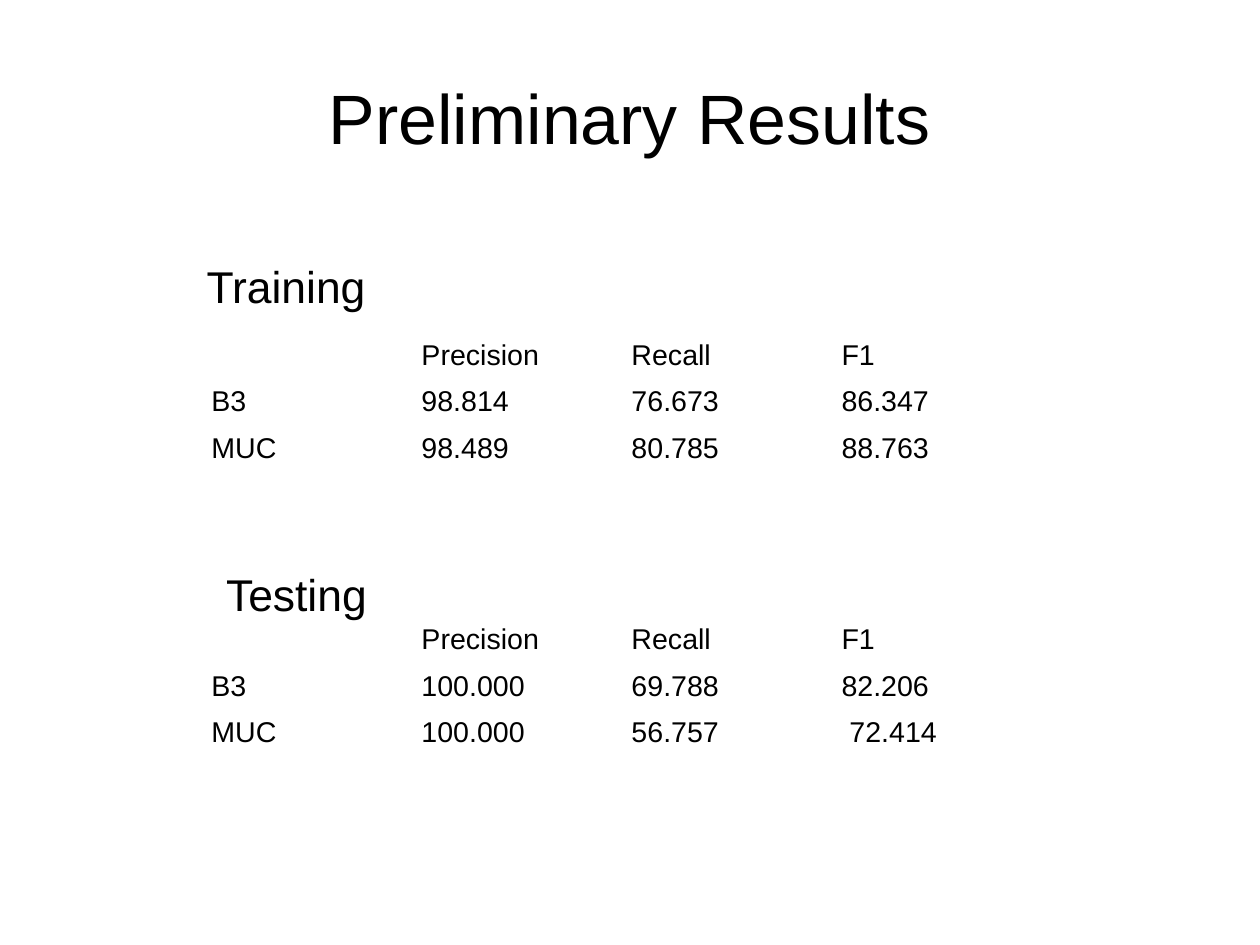
from dataclasses import dataclass

import pptx
import pptx.dml.color
import pptx.enum.text
import pptx.slide
import pptx.text.text
import pptx.util

Inches = pptx.util.Inches


@dataclass(frozen=True)
class Theme:
    font: str = "Arial"
    ink: str = "000000"
    paper: str = "FFFFFF"
    title_size: int = 44
    heading_size: int = 28
    cell_size: int = 18


@dataclass(frozen=True)
class Label:
    text: str
    left: float
    top: float
    width: float
    height: float


@dataclass(frozen=True)
class ResultBlock:
    heading: Label
    table_top: float
    frame_height: float
    scores: tuple[tuple[str, ...], ...]


THEME = Theme()
# The page measures 28 by 21 centimetres
CM_PER_INCH = 2.54
PAGE_WIDTH, PAGE_HEIGHT = 28 / CM_PER_INCH, 21 / CM_PER_INCH
TABLE_LEFT, TABLE_WIDTH, TABLE_HEIGHT = 1.75, 7.35, 1.22
COLUMN_NAMES = ("", "Precision", "Recall", "F1")
TITLE = Label("Preliminary Results", 0.55, 0.33, 9.92, 1.38)
RESULTS = (
    ResultBlock(
        Label("Training", 1.71, 2.22, 1.61, 0.57), 2.92, 1.51,
        (("B3", "98.814", "76.673", "86.347"),
         ("MUC", "98.489", "80.785", "88.763")),
    ),
    ResultBlock(
        Label("Testing", 1.88, 4.91, 1.45, 0.57), 5.41, 1.22,
        (("B3", "100.000", "69.788", "82.206"),
         ("MUC", "100.000", "56.757", " 72.414")),
    ),
)


def write(frame: pptx.text.text.TextFrame, text: str, size: int) -> None:
    """Set the text of a frame and format its runs."""
    frame.text = text
    for para in frame.paragraphs:
        for span in para.runs:
            span.font.name = THEME.font
            span.font.size = pptx.util.Pt(size)
            span.font.color.rgb = pptx.dml.color.RGBColor.from_string(THEME.ink)


def add_label(page: pptx.slide.Slide, label: Label, size: int) -> pptx.text.text.TextFrame:
    box = page.shapes.add_textbox(
        Inches(label.left), Inches(label.top), Inches(label.width), Inches(label.height))
    box.text_frame.word_wrap = False
    write(box.text_frame, label.text, size)
    return box.text_frame


def add_title(page: pptx.slide.Slide) -> None:
    frame = add_label(page, TITLE, THEME.title_size)
    frame.margin_left = frame.margin_right = frame.margin_top = frame.margin_bottom = 0
    frame.vertical_anchor = pptx.enum.text.MSO_ANCHOR.MIDDLE
    frame.paragraphs[0].alignment = pptx.enum.text.PP_ALIGN.CENTER


def add_results(page: pptx.slide.Slide, block: ResultBlock) -> None:
    # Score table without header or band styling
    rows = (COLUMN_NAMES, *block.scores)
    holder = page.shapes.add_table(
        len(rows), len(COLUMN_NAMES), Inches(TABLE_LEFT), Inches(block.table_top),
        Inches(TABLE_WIDTH), Inches(TABLE_HEIGHT))
    holder.height = Inches(block.frame_height)
    table = holder.table
    table.first_row = table.horz_banding = False
    for row_index, row in enumerate(rows):
        for column_index, text in enumerate(row):
            cell = table.cell(row_index, column_index)
            cell.fill.background()
            write(cell.text_frame, text, THEME.cell_size)

    # Heading above the table
    heading = add_label(page, block.heading, THEME.heading_size)
    heading.auto_size = pptx.enum.text.MSO_AUTO_SIZE.SHAPE_TO_FIT_TEXT


def main() -> None:
    deck = pptx.Presentation()
    deck.slide_width, deck.slide_height = Inches(PAGE_WIDTH), Inches(PAGE_HEIGHT)
    page = deck.slides.add_slide(deck.slide_layouts[6])
    page.background.fill.solid()
    page.background.fill.fore_color.rgb = pptx.dml.color.RGBColor.from_string(THEME.paper)

    add_title(page)
    for block in RESULTS:
        add_results(page, block)
    deck.save("out.pptx")


if __name__ == "__main__":
    main()
